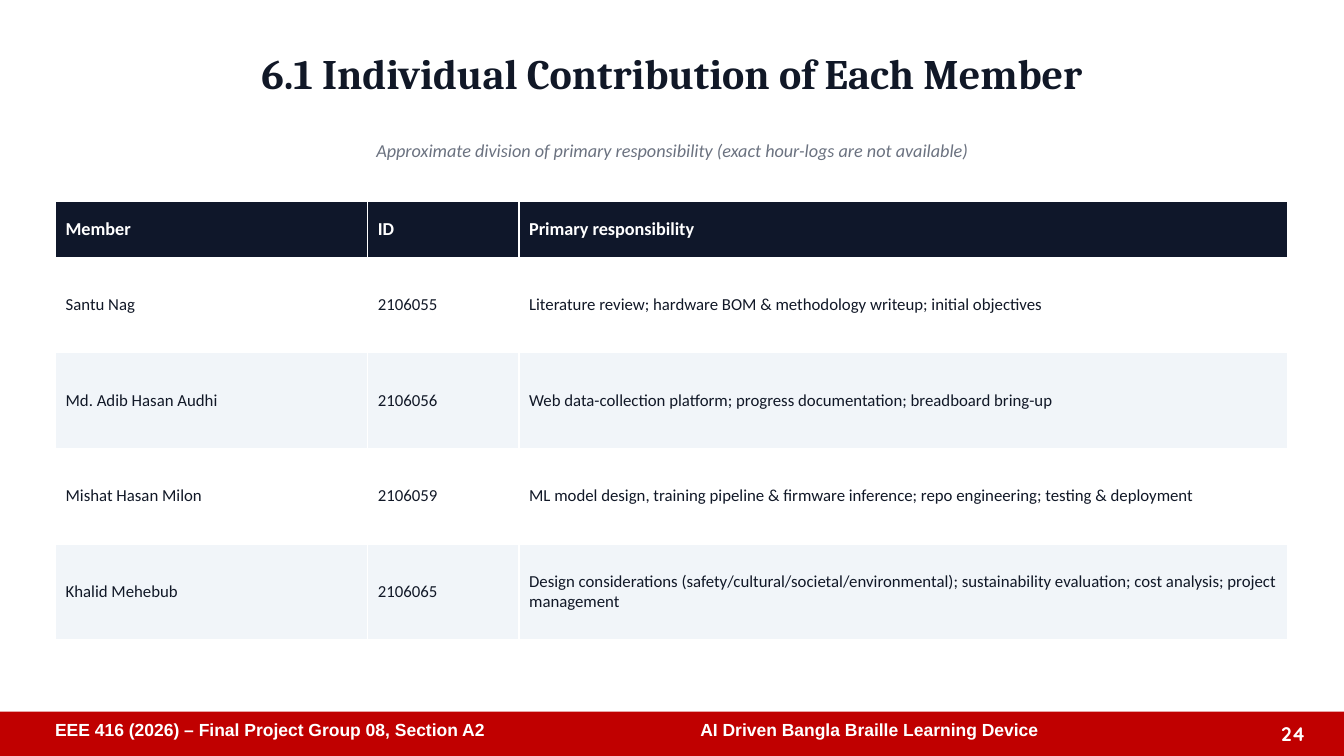
from pptx import Presentation
from pptx.dml.color import RGBColor
from pptx.enum.shapes import MSO_SHAPE
from pptx.enum.text import MSO_ANCHOR, PP_ALIGN
from pptx.util import Cm, Pt

RECT = MSO_SHAPE.RECTANGLE
TOP, MIDDLE, BOTTOM = MSO_ANCHOR.TOP, MSO_ANCHOR.MIDDLE, MSO_ANCHOR.BOTTOM
LEFT, CENTER, RIGHT = PP_ALIGN.LEFT, PP_ALIGN.CENTER, PP_ALIGN.RIGHT

WHITE = RGBColor(0xFF, 0xFF, 0xFF)
RED = RGBColor(0xC0, 0x00, 0x00)
NAVY = RGBColor(0x0F, 0x17, 0x2A)
INK = RGBColor(0x11, 0x18, 0x27)
GREY = RGBColor(0x6B, 0x72, 0x80)
PALE = RGBColor(0xF1, 0xF5, 0xF9)

WIDTH, HEIGHT = 33.87, 19.05
MARGIN = 1.4
INNER = WIDTH - 2 * MARGIN

COLS = (7.87, 3.81, 19.38)
HEAD_ROW, BODY_ROW = 1.4, 2.41
ROWS = (
    ("Member", "ID", "Primary responsibility"),
    ("Santu Nag", "2106055",
     "Literature review; hardware BOM & methodology writeup; initial objectives"),
    ("Md. Adib Hasan Audhi", "2106056",
     "Web data-collection platform; progress documentation; breadboard bring-up"),
    ("Mishat Hasan Milon", "2106059",
     "ML model design, training pipeline & firmware inference; repo engineering; "
     "testing & deployment"),
    ("Khalid Mehebub", "2106065",
     "Design considerations (safety/cultural/societal/environmental); "
     "sustainability evaluation; cost analysis; project management"),
)


def style(frame, face, size, color, bold=False, italic=False):
    for run in frame.paragraphs[0].runs:
        font = run.font
        font.name, font.size = face, Pt(size)
        font.bold, font.italic = bold, italic
        font.color.rgb = color


def add_text(slide, box, text, align=LEFT, anchor=TOP, pad=(0.25, 0.13), **look):
    """Place one line of text; pad holds the side and the top/bottom insets."""
    frame = slide.shapes.add_textbox(*map(Cm, box)).text_frame
    frame.word_wrap = True
    frame.vertical_anchor = anchor
    frame.margin_left = frame.margin_right = Cm(pad[0])
    frame.margin_top = frame.margin_bottom = Cm(pad[1])
    frame.text = text
    frame.paragraphs[0].alignment = align
    style(frame, **look)
    return frame


def add_footer(slide, left, top, width, height):
    bar = slide.shapes.add_shape(RECT, Cm(left), Cm(top), Cm(width), Cm(height))
    bar.shadow.inherit = False
    bar.fill.solid()
    bar.fill.fore_color.rgb = RED
    bar.line.fill.background()

    add_text(slide, (left + 31.7, top + 0.13, 1.45, 0.86), "24", RIGHT, BOTTOM,
             face="Quicksand", size=14, color=WHITE, bold=True)
    labels = (
        (1.14, 16, "EEE 416 (2026) – Final Project Group 08, Section A2"),
        (17.4, 13.59, "AI Driven Bangla Braille Learning Device"),
    )
    for shift, span, text in labels:
        add_text(slide, (left + shift, top + 0.06, span, 1.07), text,
                 face="Arial", size=12.5, color=WHITE, bold=True)


def add_heading(slide, left, top, width):
    add_text(slide, (left, top, width, 2.54),
             "6.1 Individual Contribution of Each Member", CENTER, pad=(0, 0.13),
             face="Cambria", size=30, color=INK, bold=True)
    note = add_text(
        slide, (left, top + 2.36, width, 1.02),
        "Approximate division of primary responsibility "
        "(exact hour-logs are not available)",
        CENTER, pad=(0, 0), face="Calibri", size=13, color=GREY, italic=True)
    note.paragraphs[0].line_spacing = 1.15


def add_members(slide, left, top, width):
    height = HEAD_ROW + BODY_ROW * (len(ROWS) - 1)
    table = slide.shapes.add_table(len(ROWS), len(COLS), Cm(left), Cm(top),
                                   Cm(width), Cm(height)).table
    for column, span in zip(table.columns, COLS):
        column.width = Cm(span)
    for i, texts in enumerate(ROWS):
        head = i == 0
        table.rows[i].height = Cm(HEAD_ROW if head else BODY_ROW)
        fill = NAVY if head else (PALE, WHITE)[i % 2]
        for j, text in enumerate(texts):
            cell = table.cell(i, j)
            cell.fill.solid()
            cell.fill.fore_color.rgb = fill
            cell.vertical_anchor = MIDDLE
            if head:
                cell.margin_top = cell.margin_bottom = 0
            cell.text_frame.text = text
            style(cell.text_frame, "Calibri", 13 if head else 12,
                  WHITE if head else INK, bold=head)


def main():
    deck = Presentation()
    deck.slide_width, deck.slide_height = Cm(WIDTH), Cm(HEIGHT)
    slide = deck.slides.add_slide(deck.slide_layouts[6])
    slide.background.fill.solid()
    slide.background.fill.fore_color.rgb = WHITE
    add_footer(slide, 0, 17.93, WIDTH, HEIGHT - 17.93)
    add_heading(slide, MARGIN, 1.07, INNER)
    add_members(slide, MARGIN, 5.08, INNER)
    deck.save("out.pptx")


if __name__ == "__main__":
    main()
